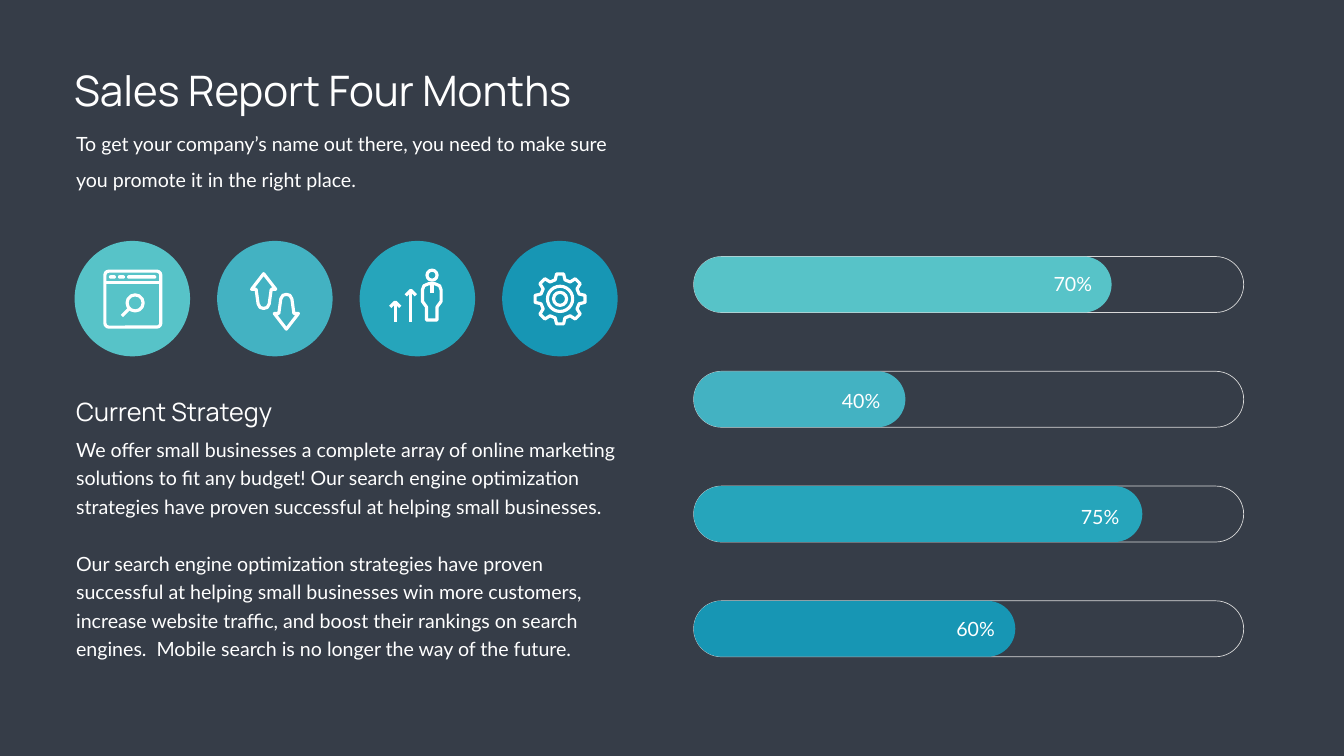
from math import cos, pi, sin

from lxml.etree import SubElement
from pptx import Presentation
from pptx.dml.color import RGBColor
from pptx.enum.shapes import MSO_CONNECTOR, MSO_SHAPE
from pptx.enum.text import MSO_ANCHOR, MSO_AUTO_SIZE, PP_ALIGN
from pptx.oxml.ns import qn
from pptx.util import Inches, Pt

COLORS = {"back": "363D48", "white": "FFFFFF", "rim": "D9D9D9",
          "mint": "57C3C8", "aqua": "43B2C2", "teal": "26A5BB", "blue": "1796B4"}
TINTS = ["mint", "aqua", "teal", "blue"]
STROKE = 4.5

deck = Presentation()
deck.slide_width, deck.slide_height = Inches(26.66), Inches(15)
slide = deck.slides.add_slide(deck.slide_layouts[1])
shapes = slide.shapes
slide.background.fill.solid()
slide.background.fill.fore_color.rgb = RGBColor.from_string(COLORS["back"])


def write(text, at, box=None, size=28, font="Lato", align=PP_ALIGN.LEFT,
          lead=None, gap=0, wrap=True):
    """Fill a placeholder or a new text box, one paragraph per line of text."""
    at = [Inches(v) for v in at]
    box = box or shapes.add_textbox(*at)
    box.left, box.top, box.width, box.height = at
    frame = box.text_frame
    frame.text = text
    frame.word_wrap = wrap
    frame.auto_size = MSO_AUTO_SIZE.NONE
    frame.vertical_anchor = MSO_ANCHOR.TOP
    for i, para in enumerate(frame.paragraphs):
        props = para._p.get_or_add_pPr()
        props.set("marL", "0")
        props.set("indent", "0")
        SubElement(props, qn("a:buNone"))
        para.alignment = align
        para.space_before = Pt(gap if i else 0)
        if lead:
            para.line_spacing = lead
        para.font.size = Pt(size)
        para.font.name = font
        para.font.color.rgb = RGBColor.from_string(COLORS["white"])


def style(shape, fill=None, line=None, width=STROKE):
    """Set fill and outline, and drop the shadow."""
    shape.shadow.inherit = False
    if fill:
        shape.fill.solid()
        shape.fill.fore_color.rgb = RGBColor.from_string(COLORS[fill])
    else:
        shape.fill.background()
    if line:
        shape.line.color.rgb = RGBColor.from_string(COLORS[line])
        shape.line.width = Pt(width)
    else:
        shape.line.fill.background()


# Headings and text
write("Sales Report Four Months", (1.37, 1.23, 13.95, 1.11),
      box=shapes.title, size=60, font="Manrope")
write("To get your company’s name out there, you need to make sure "
      "you promote it in the right place.", (1.41, 2.34, 11.21, 1.42), lead=1.5)
write("Current Strategy", (1.41, 7.82, 4.43, 0.71),
      size=36, font="Manrope", wrap=False)
write("We offer small businesses a complete array of online marketing "
      "solutions to fit any budget! Our search engine optimization "
      "strategies have proven successful at helping small businesses.\n"
      "Our search engine optimization strategies have proven successful at "
      "helping small businesses win more customers, increase website traffic, "
      "and boost their rankings on search engines.  Mobile search is no "
      "longer the way of the future.", (1.41, 8.53, 10.91, 4.64),
      box=slide.placeholders[1], lead=Pt(40.8), gap=40.8)

# Progress bars: label, bar length, label right edge, label top
bars = [("70%", 8.29, 21.76, 5.35), ("40%", 4.2, 17.56, 7.66),
        ("75%", 8.9, 22.3, 9.96), ("60%", 6.38, 19.83, 12.19)]
for i, (label, length, right, top) in enumerate(bars):
    for wide, fill, line in [(10.91, None, "rim"), (length, TINTS[i], None)]:
        bar = shapes.add_shape(MSO_SHAPE.ROUNDED_RECTANGLE, Inches(13.76),
                               Inches(5.09 + 2.277 * i), Inches(wide), Inches(1.11))
        bar.adjustments[0] = 0.5
        style(bar, fill, line, 1)
    write(label, (right - 1.3, top, 1.3, 0.63), align=PP_ALIGN.RIGHT)

# Icon discs
for i, tint in enumerate(TINTS):
    disc = shapes.add_shape(MSO_SHAPE.OVAL, Inches(1.48 + 2.827 * i), Inches(4.78),
                            Inches(2.29), Inches(2.29))
    style(disc, tint)

# Browser window and its tab marks
frame = shapes.add_shape(MSO_SHAPE.ROUNDED_RECTANGLE, Inches(2.08), Inches(5.38),
                         Inches(1.11), Inches(1.11))
frame.adjustments[0] = 0.07
style(frame, line="white")
for left, wide in [(2.16, 0.14), (2.34, 0.14), (2.52, 0.58)]:
    mark = shapes.add_shape(MSO_SHAPE.ROUNDED_RECTANGLE, Inches(left), Inches(5.46),
                            Inches(wide), Inches(0.07))
    mark.adjustments[0] = 0.5
    style(mark, "white")

# Rings: lens, head, two in the gear
for x, y, r in [(2.68, 6.01, 0.16), (8.57, 5.46, 0.1),
                (11.11, 5.93, 0.25), (11.11, 5.93, 0.13)]:
    ring = shapes.add_shape(MSO_SHAPE.OVAL, Inches(x - r), Inches(y - r),
                            Inches(2 * r), Inches(2 * r))
    style(ring, line="white")

# Outlines: the down arrow is the up arrow turned by half
half = [(5.23, 5.43), (5.47, 5.74), (5.38, 5.74), (5.34, 6.03), (5.3, 6.1), (5.23, 6.12)]
rise = half + [(10.46 - x, y) for x, y in half[-2:0:-1]]
fall = [(10.91 - x, 11.96 - y) for x, y in rise]
side = [(8.5, 5.63), (8.41, 5.67), (8.38, 5.75), (8.38, 5.98), (8.46, 6.09), (8.46, 6.35)]
body = side + [(17.13 - x, y) for x, y in reversed(side)]
gear = [(11.11 + r * cos(k * pi / 4 + a), 5.93 + r * sin(k * pi / 4 + a))
        for k in range(8)
        for r, a in [(0.39, -0.25), (0.5, -0.14), (0.5, 0.14), (0.39, 0.25)]]
tips = [[(x - 0.1, y + 0.1), (x, y), (x + 0.1, y + 0.1)]
        for x, y in [(7.84, 5.99), (8.15, 5.76)]]
for points in [rise, fall, body, gear] + tips:
    dots = [(Inches(x), Inches(y)) for x, y in points]
    pen = shapes.build_freeform(*dots[0])
    pen.add_line_segments(dots[1:], close=points not in tips)
    style(pen.convert_to_shape(), line="white")

# Straight strokes: window bar, lens handle, tie, two stems
for ends in [(2.08, 5.61, 3.18, 5.61), (2.57, 6.12, 2.42, 6.27),
             (8.57, 5.63, 8.57, 5.82), (7.84, 5.99, 7.84, 6.38),
             (8.15, 5.76, 8.15, 6.38)]:
    stroke = shapes.add_connector(MSO_CONNECTOR.STRAIGHT, *[Inches(v) for v in ends])
    stroke.line.color.rgb = RGBColor.from_string(COLORS["white"])
    stroke.line.width = Pt(STROKE)
    SubElement(stroke._element.spPr, qn("a:effectLst"))

deck.save("out.pptx")
